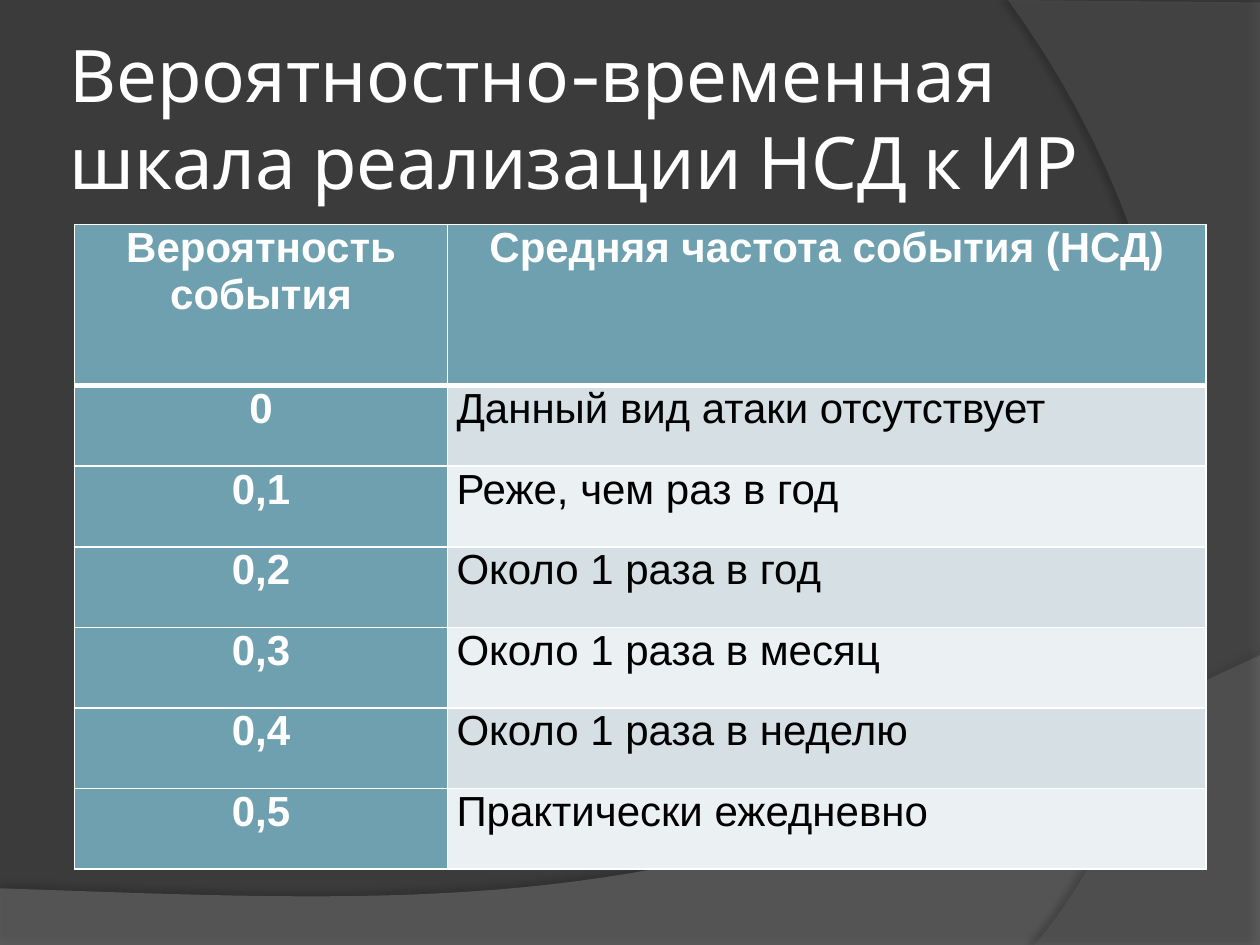
from lxml.etree import SubElement as Sub
from pptx import Presentation
from pptx.dml.color import RGBColor as RGB
from pptx.enum.text import MSO_ANCHOR as Anchor, MSO_AUTO_SIZE as Auto, PP_ALIGN as Align
from pptx.oxml.ns import qn
from pptx.util import Inches, Pt

DARK = RGB(0x3B, 0x3B, 0x3B)
GREY = RGB(0x7F, 0x7F, 0x7F)
SLATE = RGB(0x5E, 0x5E, 0x5E)
WHITE = RGB(0xFF, 0xFF, 0xFF)
BLACK = RGB(0, 0, 0)
TEAL = RGB(0x6E, 0xA0, 0xB0)
BANDS = RGB(0xD5, 0xDF, 0xE4), RGB(0xEB, 0xF0, 0xF2)

TITLE = "Вероятностно-временная шкала реализации НСД к ИР"
HEAD = "Вероятность события", "Средняя частота события (НСД)"
ROWS = [
    ("0", "Данный вид атаки отсутствует"),
    ("0,1", "Реже, чем раз в год"),
    ("0,2", "Около 1 раза в год"),
    ("0,3", "Около 1 раза в месяц"),
    ("0,4", "Около 1 раза в неделю"),
    ("0,5", "Практически ежедневно"),
]


def curve(a, b, c, d, steps=40):
    for i in range(1, steps + 1):
        t = i / steps
        u = 1 - t
        yield tuple(u**3 * p + 3 * u * u * t * q + 3 * u * t * t * r + t**3 * s
                    for p, q, r, s in zip(a, b, c, d))


def add_swoosh(slide, box, edge, bend, color, alpha, shade):
    left, top = box
    dots = [(Inches(left + x), Inches(top + y))
            for x, y in [*edge, *curve(edge[-1], *bend)]]
    form = slide.shapes.build_freeform(*dots[0], scale=1.0)
    form.add_line_segments(dots[1:], close=True)
    shape = form.convert_to_shape()
    shape.fill.solid()
    shape.fill.fore_color.rgb = color
    shape.line.fill.background()
    props = shape.element.spPr
    tint = props.find(qn("a:solidFill"))[0]
    Sub(tint, qn("a:alpha"), val=str(alpha * 1000))
    dark, gap, turn = shade
    glow = Sub(Sub(props, qn("a:effectLst")), qn("a:outerShdw"),
               blurRad=str(Pt(4)), dist=str(Pt(gap)), dir=str(turn * 60000),
               algn="ctr", rotWithShape="0")
    tone = Sub(glow, qn("a:srgbClr"), val=str(BLACK))
    Sub(tone, qn("a:alpha"), val=str(dark * 1000))


def add_run(para, text, font, size, color, bold=False):
    run = para.add_run()
    run.text = text
    run.font.name = font
    run.font.size = Pt(size)
    run.font.bold = bold
    run.font.color.rgb = color


def set_title(slide, box):
    title = slide.shapes.title
    title.left, title.top, title.width, title.height = map(Inches, box)
    frame = title.text_frame
    frame.word_wrap = True
    frame.auto_size = Auto.NONE
    frame.vertical_anchor = Anchor.MIDDLE
    frame.margin_left = frame.margin_right = Inches(0.05)
    frame.margin_top = frame.margin_bottom = Inches(0.05)
    para = frame.paragraphs[0]
    para.alignment = Align.LEFT
    add_run(para, TITLE, "Cabin", 41.4, WHITE)


def set_cell(cell, text, fill, color, strong, base):
    props = cell._tc.get_or_add_tcPr()
    for side in "LRTB":
        width = base if side == "B" else 1
        line = Sub(props, qn("a:ln" + side), w=str(Pt(width)))
        Sub(Sub(line, qn("a:solidFill")), qn("a:srgbClr"), val=str(WHITE))
    cell.fill.solid()
    cell.fill.fore_color.rgb = fill
    cell.margin_left = cell.margin_right = Inches(0.07)
    cell.margin_top = cell.margin_bottom = 0
    para = cell.text_frame.paragraphs[0]
    para.alignment = Align.CENTER if strong else Align.LEFT
    add_run(para, text, "Arial", 24, color, strong)


def add_scale(slide, box):
    left, top, width, height = box
    lines = [HEAD, *ROWS]
    unit = height / (len(lines) + 1)
    table = slide.shapes.add_table(len(lines), 2, *map(Inches, box)).table
    table.columns[0].width = Inches(width * 0.33)
    table.columns[1].width = Inches(width * 0.67)
    for i, line in enumerate(lines):
        table.rows[i].height = Inches(unit if i else 2 * unit)
        for j, text in enumerate(line):
            strong = i == 0 or j == 0
            fill = TEAL if strong else BANDS[(i - 1) % 2]
            color = WHITE if strong else BLACK
            set_cell(table.cell(i, j), text, fill, color, strong, 1 if i else 3)
    table.cell(0, 1).text_frame.paragraphs[0].space_before = Pt(6)


def main():
    deck = Presentation()
    deck.slide_width, deck.slide_height = Inches(10), Inches(7.5)
    slide = deck.slides.add_slide(deck.slide_layouts[5])
    back = slide.background.fill
    back.solid()
    back.fore_color.rgb = DARK
    add_swoosh(slide, (0, 5.2), [(0, 1.85), (0, 2.3), (10, 2.3), (10, 0)],
               [(5.59, 2.09), (3.91, 1.99), (0, 1.85)], GREY, 45, (35, 3.5, 270))
    add_swoosh(slide, (8, 0), [(2, 0.02), (2, 7.5), (0.21, 7.5)],
               [(1.35, 6.19), (2.18, 3), (0, 0)], SLATE, 40, (45, 4, 180))
    set_title(slide, (0.5, 0.3, 8.17, 1.25))
    add_scale(slide, (0.59, 1.78, 8.98, 5.12))
    deck.save("out.pptx")


if __name__ == "__main__":
    main()
